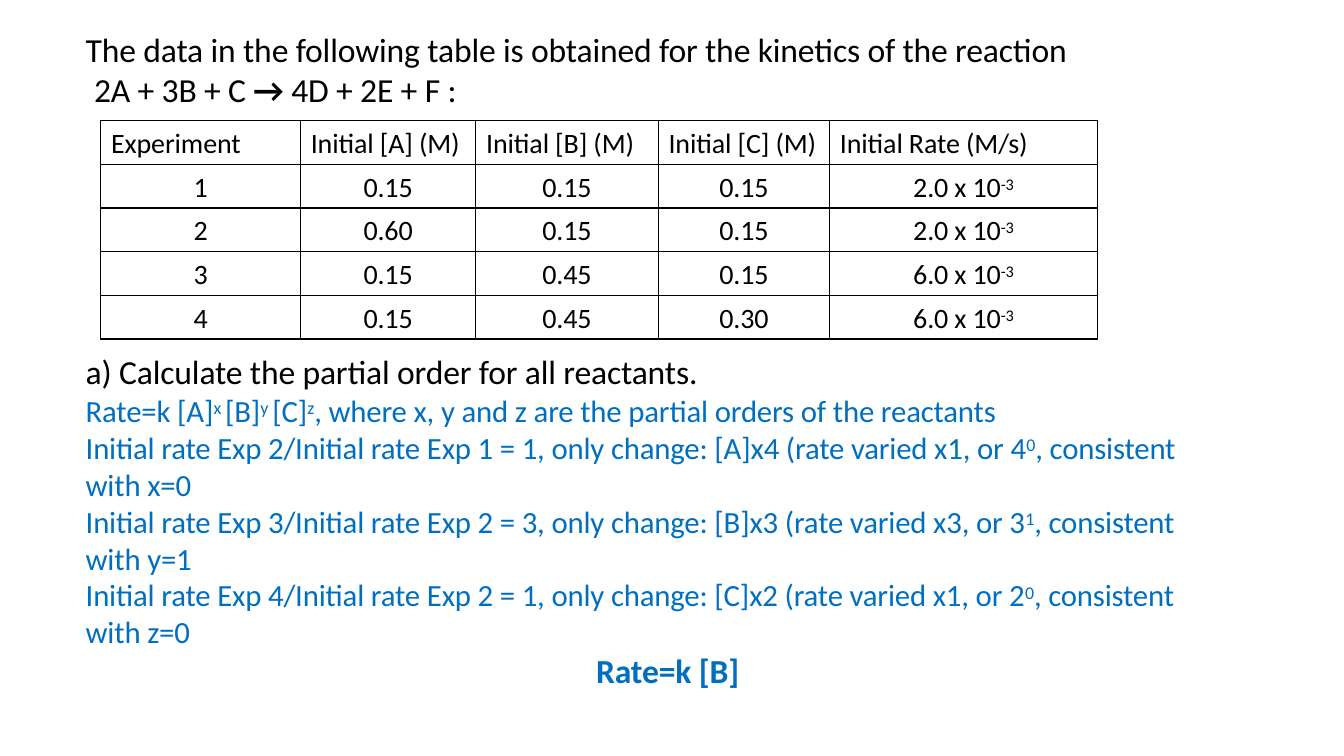
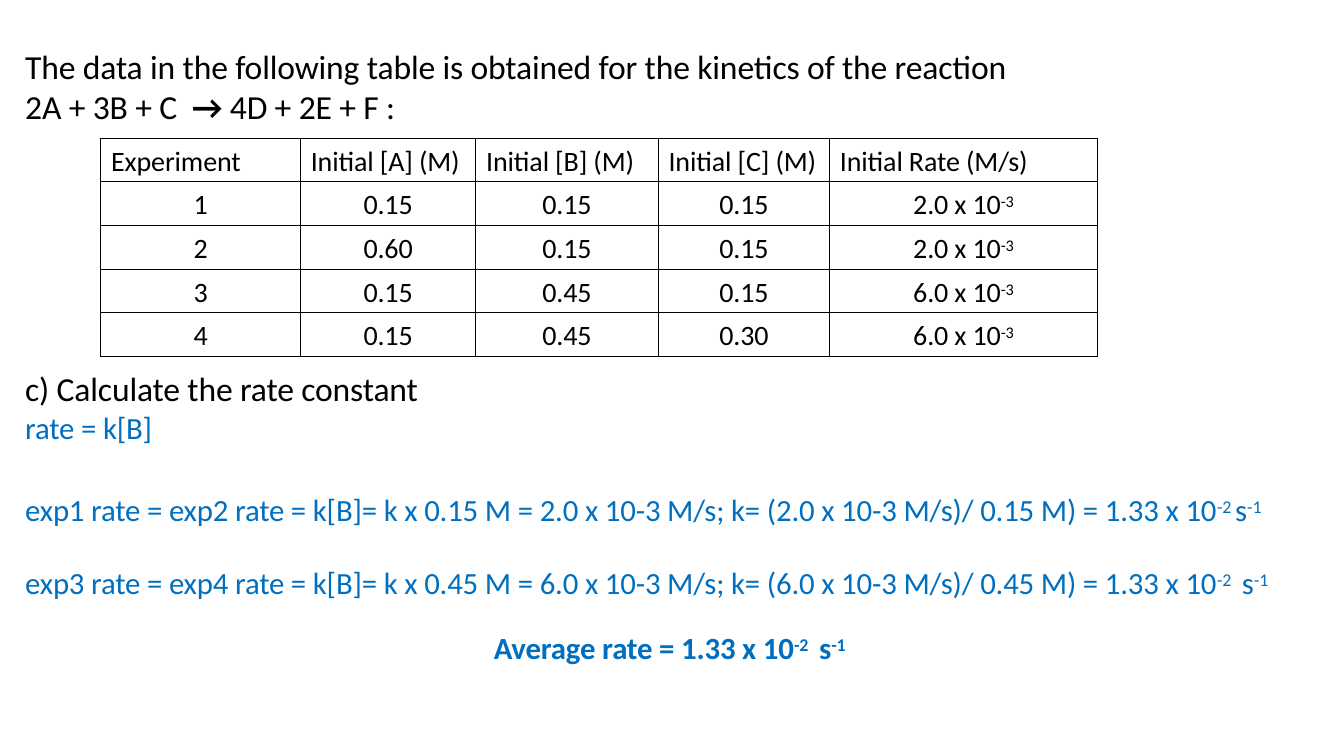
import dataclasses

import pptx
import pptx.dml.color
import pptx.enum.text
import pptx.util
from lxml import etree

Pt = pptx.util.Pt
RGB = pptx.dml.color.RGBColor
ALIGN = pptx.enum.text.PP_ALIGN
A = "http://schemas.openxmlformats.org/drawingml/2006/main"


@dataclasses.dataclass(frozen=True)
class Theme:
    font: str = "Calibri"
    ink: RGB = RGB(0, 0, 0)
    answer: RGB = RGB(0x00, 0x6F, 0xC0)
    line: str = "000000"
    heading: int = 24
    body: int = 22
    cell: int = 20
    tracking: int = -10      # hundredths of a point
    raised: int = 25000      # superscript, thousandths of a percent


T = Theme()

# Content: pieces between ^ marks are bold in titles and superscript elsewhere
INTRO = "The data in the following table is obtained for the kinetics of the reaction"
TABLE = [
    ("Experiment", "Initial [A] (M)", "Initial [B] (M)", "Initial [C] (M)", "Initial Rate (M/s)"),
    ("1", "0.15", "0.15", "0.15", "2.0 x 10^-3"),
    ("2", "0.60", "0.15", "0.15", "2.0 x 10^-3"),
    ("3", "0.15", "0.45", "0.15", "6.0 x 10^-3"),
    ("4", "0.15", "0.45", "0.30", "6.0 x 10^-3"),
]
COLS = (142.6, 125.3, 130.3, 122.4, 191.5)
ROW_H = 31.2
TABLE_LEFT = 72

# Answers: (text, space before); the conclusion closes the list in bold
SLIDES = [
    dict(
        title=[INTRO, "2A + 3B + C ^→^ 4D + 2E + F :"], title_at=(60.5, 18.7), equation_indent=6,
        table_top=86.2,
        body_at=(58.3, 249.1, 796.3, 244.8), indent=2.9,
        question="a) Calculate the partial order for all reactants.",
        answers=[
            ("Rate=k [A]^x ^[B]^y ^[C]^z^, where x, y and z are the partial orders of the reactants", 0),
            ("Initial rate Exp 2/Initial rate Exp 1 = 1, only change: [A]x4 "
             "(rate varied x1, or 4^0^, consistent with x=0", 0),
            ("Initial rate Exp 3/Initial rate Exp 2 = 3, only change: [B]x3 "
             "(rate varied x3, or 3^1^, consistent with y=1", 0),
            ("Initial rate Exp 4/Initial rate Exp 2 = 1, only change: [C]x2 "
             "(rate varied x1, or 2^0^, consistent with z=0", 0),
        ],
        conclusion=("Rate=k [B]", 0, T.heading, 367.5),
    ),
    dict(
        title=[INTRO, "2A + 3B + C ^ →^ 4D + 2E + F :"], title_at=(17.3, 31), equation_indent=0,
        table_top=98.7,
        body_at=(12.2, 261.4, 913, 216), indent=5.8,
        question="c) Calculate the rate constant",
        answers=[
            ("rate = k[B]", 0),
            ("exp1 rate = exp2 rate = k[B]= k x 0.15 M = 2.0 x 10-3 M/s; "
             "k= (2.0 x 10-3 M/s)/ 0.15 M) = 1.33 x 10^-2 ^s^-1", 32),
            ("exp3 rate = exp4 rate = k[B]= k x 0.45 M = 6.0 x 10-3 M/s; "
             "k= (6.0 x 10-3 M/s)/ 0.45 M) = 1.33 x 10^-2 ^ s^-1", 26),
        ],
        conclusion=("Average rate = 1.33 x 10^-2 ^ s^-1", 20, T.body, 340.5),
    ),
]


def add_runs(p, text, size, color, bold=False, mark="raised"):
    for i, piece in enumerate(text.split("^")):
        marked = i % 2 == 1
        r = p.add_run()
        r.text = piece
        r.font.name, r.font.size = T.font, Pt(size)
        r.font.color.rgb = color
        r.font.bold = bold or (marked and mark == "bold")
        rPr = r.font._element
        rPr.set("spc", str(T.tracking))
        if marked and mark == "raised":
            rPr.set("baseline", str(T.raised))


def add_par(tf, first, text, size, color, indent=0, before=0, **style):
    p = tf.paragraphs[0] if first else tf.add_paragraph()
    pPr = p._p.get_or_add_pPr()
    pPr.set("marL", str(Pt(indent)))
    pPr.set("indent", "0")
    etree.SubElement(pPr, f"{{{A}}}buNone")
    p.alignment = ALIGN.LEFT
    p.space_before = Pt(before)
    add_runs(p, text, size, color, **style)


def place(sp, left, top, width, height):
    sp.left, sp.top, sp.width, sp.height = (Pt(v) for v in (left, top, width, height))
    tf = sp.text_frame
    tf.auto_size = pptx.enum.text.MSO_AUTO_SIZE.NONE
    tf.vertical_anchor = pptx.enum.text.MSO_ANCHOR.TOP
    tf.word_wrap = True
    tf.margin_left = tf.margin_right = tf.margin_bottom = 0
    tf.margin_top = Pt(1.7)
    return tf


def border(cell):
    tcPr = cell._tc.get_or_add_tcPr()
    for side in ("lnL", "lnR", "lnT", "lnB"):
        ln = etree.SubElement(tcPr, f"{{{A}}}{side}", w=str(Pt(1)))
        fill = etree.SubElement(ln, f"{{{A}}}solidFill")
        etree.SubElement(fill, f"{{{A}}}srgbClr", val=T.line)


def add_data_table(s, top):
    gf = s.shapes.add_table(len(TABLE), len(COLS), Pt(TABLE_LEFT), Pt(top),
                            Pt(sum(COLS)), Pt(ROW_H * len(TABLE)))
    table = gf.table
    table.first_row = table.horz_banding = False
    for col, width in zip(table.columns, COLS):
        col.width = Pt(width)
    for i, row in enumerate(TABLE):
        table.rows[i].height = Pt(ROW_H)
        for j, text in enumerate(row):
            cell = table.cell(i, j)
            cell.margin_left = Pt(0 if i else 7.4)
            cell.margin_right = cell.margin_bottom = 0
            cell.margin_top = Pt(4.5)
            border(cell)
            cell.fill.background()
            p = cell.text_frame.paragraphs[0]
            p.alignment = ALIGN.CENTER if i else ALIGN.LEFT
            add_runs(p, text, T.cell, T.ink)


def add_slide(prs, data):
    s = prs.slides.add_slide(prs.slide_layouts[1])

    # Problem statement
    tf = place(s.shapes.title, *data["title_at"], 710.6, 60)
    for i, text in enumerate(data["title"]):
        add_par(tf, i == 0, text, T.heading, T.ink,
                indent=0.7 + i * data["equation_indent"], mark="bold")

    # Question and worked answer
    tf = place(s.placeholders[1], *data["body_at"])
    add_par(tf, True, data["question"], T.heading, T.ink, data["indent"])
    for text, before in data["answers"]:
        add_par(tf, False, text, T.body, T.answer, data["indent"], before)
    text, before, size, indent = data["conclusion"]
    add_par(tf, False, text, size, T.answer, indent, before, bold=True)

    # Measurements
    add_data_table(s, data["table_top"])


def main():
    prs = pptx.Presentation()
    prs.slide_width, prs.slide_height = Pt(960), Pt(540)
    for data in SLIDES:
        add_slide(prs, data)
    prs.save("out.pptx")


if __name__ == "__main__":
    main()
